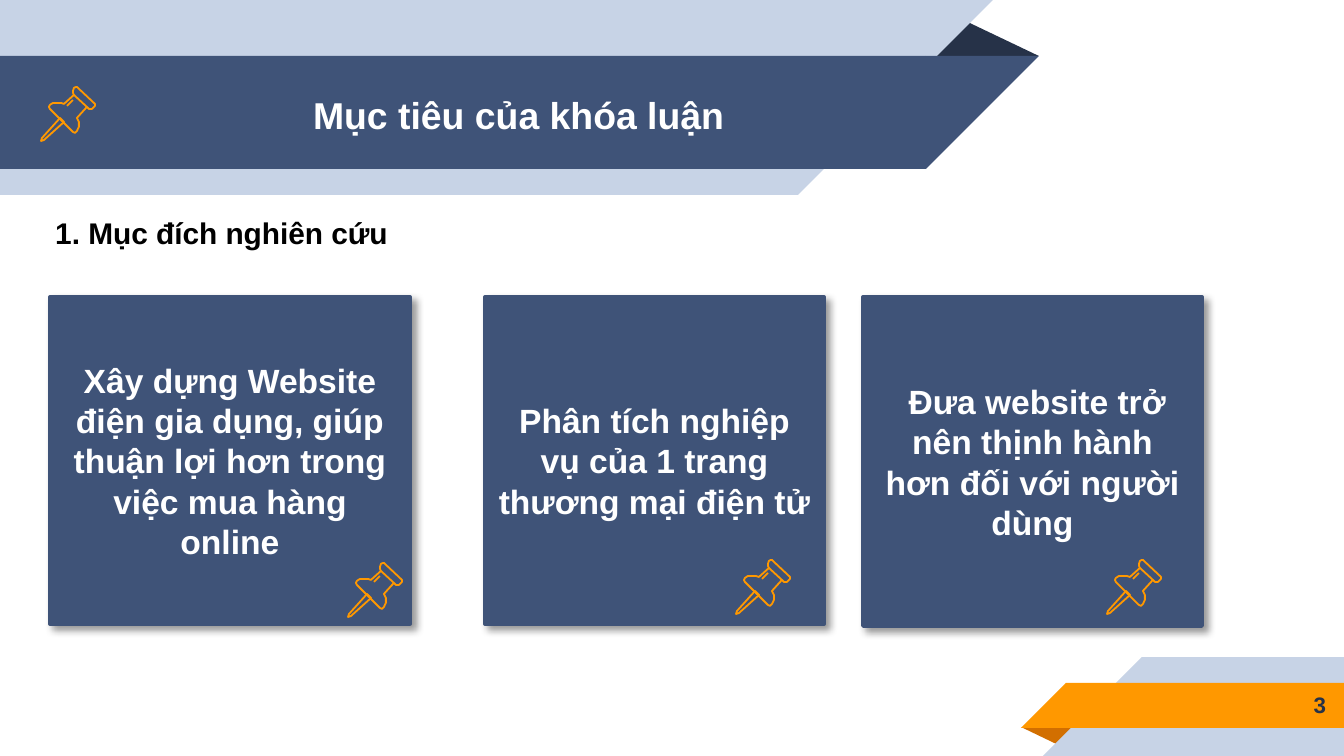
from dataclasses import dataclass

from lxml import etree
from pptx import Presentation
from pptx.dml.color import RGBColor
from pptx.enum.shapes import MSO_SHAPE
from pptx.enum.text import MSO_ANCHOR, MSO_AUTO_SIZE, PP_ALIGN
from pptx.oxml.ns import qn
from pptx.util import Emu, Pt

RECT = MSO_SHAPE.RECTANGLE
FOLD = MSO_SHAPE.ISOSCELES_TRIANGLE
SLANT = MSO_SHAPE.RIGHT_TRIANGLE
MIDDLE, TOP = MSO_ANCHOR.MIDDLE, MSO_ANCHOR.TOP
LEFT, CENTER, RIGHT = PP_ALIGN.LEFT, PP_ALIGN.CENTER, PP_ALIGN.RIGHT
NO_FIT = MSO_AUTO_SIZE.NONE

EMU_PER_PX = 914400 / 134.4
SLIDE_SIZE = (1344, 756)
TITLE_ONLY = 5


@dataclass(frozen=True)
class Theme:
    navy: str = "3F5378"
    dark: str = "263248"
    pale: str = "C7D3E6"
    orange: str = "FF9800"
    rust: str = "D26F00"
    white: str = "FFFFFF"
    black: str = "000000"
    font: str = "Arial"
    title_size: int = 20
    card_size: int = 18
    heading_size: int = 16
    number_size: int = 12
    pin_line: float = 0.96
    card_line: int = 2


THEME = Theme()

# Pushpin strokes: points in px from the pin's top left, and whether closed
PIN_STROKES = [
    ([(19, 31), (1, 51), (0, 54), (3, 53), (23, 35)], True),
    ([(33, 8), (46, 20), (48, 22), (51, 22), (54, 19), (54, 17), (36, 0),
      (35, 0), (33, 1), (32, 4), (32, 6)], True),
    ([(33, 8), (23, 17), (20, 16), (16, 16), (12, 16), (9, 18), (8, 20),
      (9, 22), (32, 45), (34, 46), (36, 44), (38, 40), (38, 35), (36, 31),
      (46, 20)], False),
    ([(26, 19), (32, 13)], False),
]

# Card box, text and pin position
CARDS = [
    ((50, 297, 360, 327),
     "Xây dựng Website điện gia dụng, giúp thuận lợi hơn trong việc mua hàng online",
     (348, 563)),
    ((485, 297, 339, 327),
     "Phân tích nghiệp vụ của 1 trang thương mại điện tử",
     (736, 560)),
    ((863, 297, 339, 329),
     " Đưa website trở nên thịnh hành hơn đối với người dùng",
     (1107, 560)),
]


def px(length):
    return Emu(round(length * EMU_PER_PX))


def rgb(color):
    return RGBColor.from_string(color)


def add_block(slide, preset, box, color):
    block = slide.shapes.add_shape(preset, *map(px, box))
    block.shadow.inherit = False
    block.fill.solid()
    block.fill.fore_color.rgb = rgb(color)
    block.line.fill.background()
    return block


def add_ribbon(slide, box, color, flip):
    """A bar whose slanted end lies right (flipV) or left (flipH)."""
    left, top, width, height = box
    slant_left = left + width if flip == "flipV" else left - height
    add_block(slide, RECT, box, color)
    slant = add_block(slide, SLANT, (slant_left, top, height, height), color)
    slant._element.spPr.find(qn("a:xfrm")).set(flip, "1")


def add_fold(slide, box, color, rotation):
    fold = add_block(slide, FOLD, box, color)
    fold.adjustments[0] = 0.32
    fold.rotation = rotation


def write(shape, text, size, color, align, anchor, inset=None):
    frame = shape.text_frame
    frame_format = {"word_wrap": True, "auto_size": NO_FIT,
                    "vertical_anchor": anchor}
    if inset is not None:
        for side in ("left", "right", "top", "bottom"):
            frame_format[f"margin_{side}"] = px(inset)
    for name, value in frame_format.items():
        setattr(frame, name, value)
    frame.text = text
    paragraph = frame.paragraphs[0]
    paragraph.alignment = align
    font = paragraph.runs[0].font
    for name, value in {"name": THEME.font, "size": Pt(size), "bold": True}.items():
        setattr(font, name, value)
    font.color.rgb = rgb(color)


def add_label(slide, box, *text_format):
    write(slide.shapes.add_textbox(*map(px, box)), *text_format)


def add_soft_shadow(shape):
    effects = shape._element.spPr.find(qn("a:effectLst"))
    shadow = etree.SubElement(effects, qn("a:outerShdw"), blurRad=str(Pt(4)),
                              dist=str(Pt(3)), dir="2700000", rotWithShape="0")
    color = etree.SubElement(shadow, qn("a:srgbClr"), val=THEME.black)
    etree.SubElement(color, qn("a:alpha"), val="40000")


def add_card(slide, box, text):
    card = add_block(slide, RECT, box, THEME.navy)
    card.line.color.rgb = rgb(THEME.navy)
    card.line.width = Pt(THEME.card_line)
    add_soft_shadow(card)
    write(card, text, THEME.card_size, THEME.white, CENTER, MIDDLE)


def add_pin(slide, left, top):
    pin = slide.shapes.add_group_shape()
    for points, closed in PIN_STROKES:
        builder = pin.shapes.build_freeform(*points[0], scale=EMU_PER_PX)
        builder.add_line_segments(points[1:], close=closed)
        stroke = builder.convert_to_shape(px(left), px(top))
        stroke.shadow.inherit = False
        stroke.fill.background()
        stroke.line.color.rgb = rgb(THEME.orange)
        stroke.line.width = Pt(THEME.pin_line)


def set_title(slide, box, text):
    title = slide.shapes.title
    for name, value in zip(("left", "top", "width", "height"), box):
        setattr(title, name, px(value))
    write(title, text, THEME.title_size, THEME.white, CENTER, MIDDLE, 13)
    # Bring the title in front of the ribbons
    title._element.getparent().append(title._element)


def main():
    deck = Presentation()
    deck.slide_width, deck.slide_height = map(px, SLIDE_SIZE)
    slide = deck.slides.add_slide(deck.slide_layouts[TITLE_ONLY])

    # Footer ribbons
    add_fold(slide, (1021, 727, 58, 19), THEME.rust, 180)
    add_ribbon(slide, (1142, 657, 202, 99), THEME.pale, "flipH")
    add_ribbon(slide, (1066, 683, 278, 45), THEME.orange, "flipH")

    # Header ribbons
    add_fold(slide, (925, 19, 114, 37), THEME.dark, 0)
    add_ribbon(slide, (0, 0, 798, 195), THEME.pale, "flipV")
    add_ribbon(slide, (0, 56, 926, 113), THEME.navy, "flipV")

    # Title, page number and heading
    set_title(slide, (120, 58, 808, 113), "Mục tiêu của khóa luận ")
    add_label(slide, (1120, 681, 219, 47), "3", THEME.number_size,
              THEME.dark, RIGHT, MIDDLE, 13)
    add_pin(slide, 41, 87)
    add_label(slide, (42, 208, 758, 50), "1. Mục đích nghiên cứu",
              THEME.heading_size, THEME.black, LEFT, TOP)

    # Goal cards
    for box, text, pin_place in CARDS:
        add_card(slide, box, text)
        add_pin(slide, *pin_place)

    deck.save("out.pptx")


if __name__ == "__main__":
    main()
